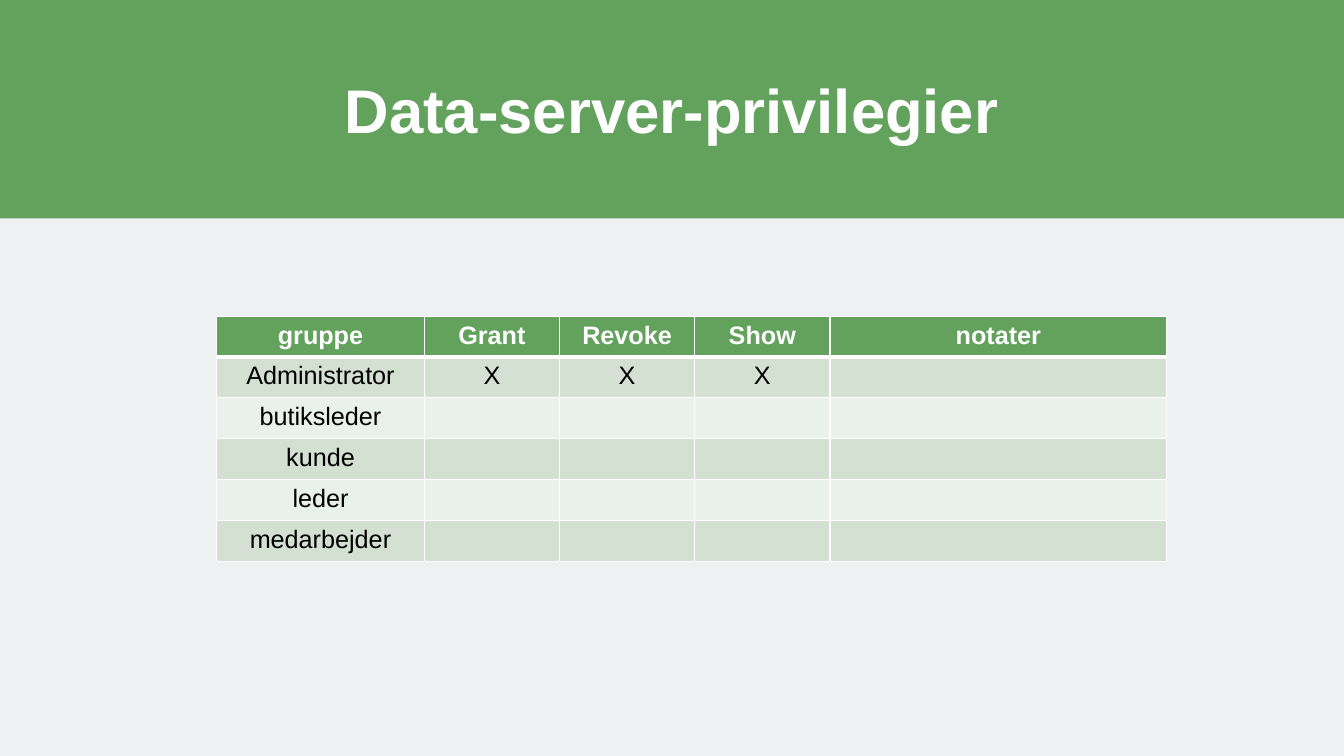
from dataclasses import dataclass

from lxml.etree import SubElement
from pptx import Presentation
from pptx.dml.color import RGBColor
from pptx.enum.shapes import MSO_SHAPE as Shape
from pptx.enum.text import MSO_ANCHOR as Anchor, PP_ALIGN as Align
from pptx.oxml.ns import qn
from pptx.util import Pt


@dataclass(frozen=True)
class Theme:
    font: str = "Arial"
    title_size: int = 44
    table_size: int = 18
    background: str = "EDF1F2"
    green: str = "62A25D"
    odd_row: str = "D3E0D2"
    even_row: str = "EAF0EA"
    white: str = "FFFFFF"
    black: str = "000000"


THEME = Theme()
HEADINGS = ["gruppe", "Grant", "Revoke", "Show", "notater"]
GROUPS = {
    "Administrator": ["X", "X", "X"],
    "butiksleder": [],
    "kunde": [],
    "leder": [],
    "medarbejder": [],
}
COLUMN_WIDTHS = [148.3, 96.6, 96.6, 96.6, 240.7]
HEADER_HEIGHT, ROW_HEIGHT = 27.5, 29.2


def paint(fill, color):
    fill.solid()
    fill.fore_color.rgb = RGBColor.from_string(color)


def write(frame, text, *, size, color, bold=False, spacing=1.0):
    para = frame.paragraphs[0]
    para.alignment = Align.CENTER
    para.line_spacing = spacing
    span = para.add_run()
    span.text = text
    span.font.name = THEME.font
    span.font.size = Pt(size)
    span.font.bold = bold
    span.font.color.rgb = RGBColor.from_string(color)


def add_band(page, width, height):
    band = page.shapes.add_shape(Shape.RECTANGLE, 0, 0, width, height)
    band.shadow.inherit = False
    paint(band.fill, THEME.green)
    band.line.fill.background()


def add_title(page, text):
    box = page.shapes.add_textbox(Pt(66), Pt(28.8), Pt(828), Pt(104.4))
    frame = box.text_frame
    frame.word_wrap = True
    frame.vertical_anchor = Anchor.MIDDLE
    write(frame, text, size=THEME.title_size, color=THEME.white, bold=True, spacing=0.9)


def set_borders(cell, **widths):
    properties = cell._tc.get_or_add_tcPr()
    for side in ("L", "R", "T", "B"):
        line = SubElement(properties, qn(f"a:ln{side}"), w=str(Pt(widths.get(side, 1))))
        fill = SubElement(line, qn("a:solidFill"))
        SubElement(fill, qn("a:srgbClr"), val=THEME.white)


def fill_cell(cell, text, *, fill, color, bold=False, **borders):
    set_borders(cell, **borders)
    paint(cell.fill, fill)
    if text:
        write(cell.text_frame, text, size=THEME.table_size, color=color, bold=bold)


def add_privileges(page, left, top):
    height = HEADER_HEIGHT + ROW_HEIGHT * len(GROUPS)
    table = page.shapes.add_table(
        len(GROUPS) + 1, len(HEADINGS),
        Pt(left), Pt(top), Pt(sum(COLUMN_WIDTHS)), Pt(height),
    ).table
    table.horz_banding = False
    for column, width in zip(table.columns, COLUMN_WIDTHS):
        column.width = Pt(width)

    # Header row, with a thick line below
    table.rows[0].height = Pt(HEADER_HEIGHT)
    for column, heading in enumerate(HEADINGS):
        fill_cell(table.cell(0, column), heading, fill=THEME.green,
                  color=THEME.white, bold=True, B=3)

    # One banded row for each group
    for row, (group, marks) in enumerate(GROUPS.items(), start=1):
        table.rows[row].height = Pt(ROW_HEIGHT)
        texts = [group, *marks]
        texts += [""] * (len(HEADINGS) - len(texts))
        for column, text in enumerate(texts):
            fill_cell(table.cell(row, column), text,
                      fill=THEME.odd_row if row % 2 else THEME.even_row,
                      color=THEME.black, T=3 if row == 1 else 1)


def main():
    deck = Presentation()
    deck.slide_width, deck.slide_height = Pt(960), Pt(540)
    page = deck.slides.add_slide(deck.slide_layouts[6])
    paint(page.background.fill, THEME.background)

    # Title band
    add_band(page, deck.slide_width, Pt(156))
    add_title(page, "Data-server-privilegier")

    # Privilege table
    add_privileges(page, 154.8, 226.1)

    deck.save("out.pptx")


if __name__ == "__main__":
    main()
